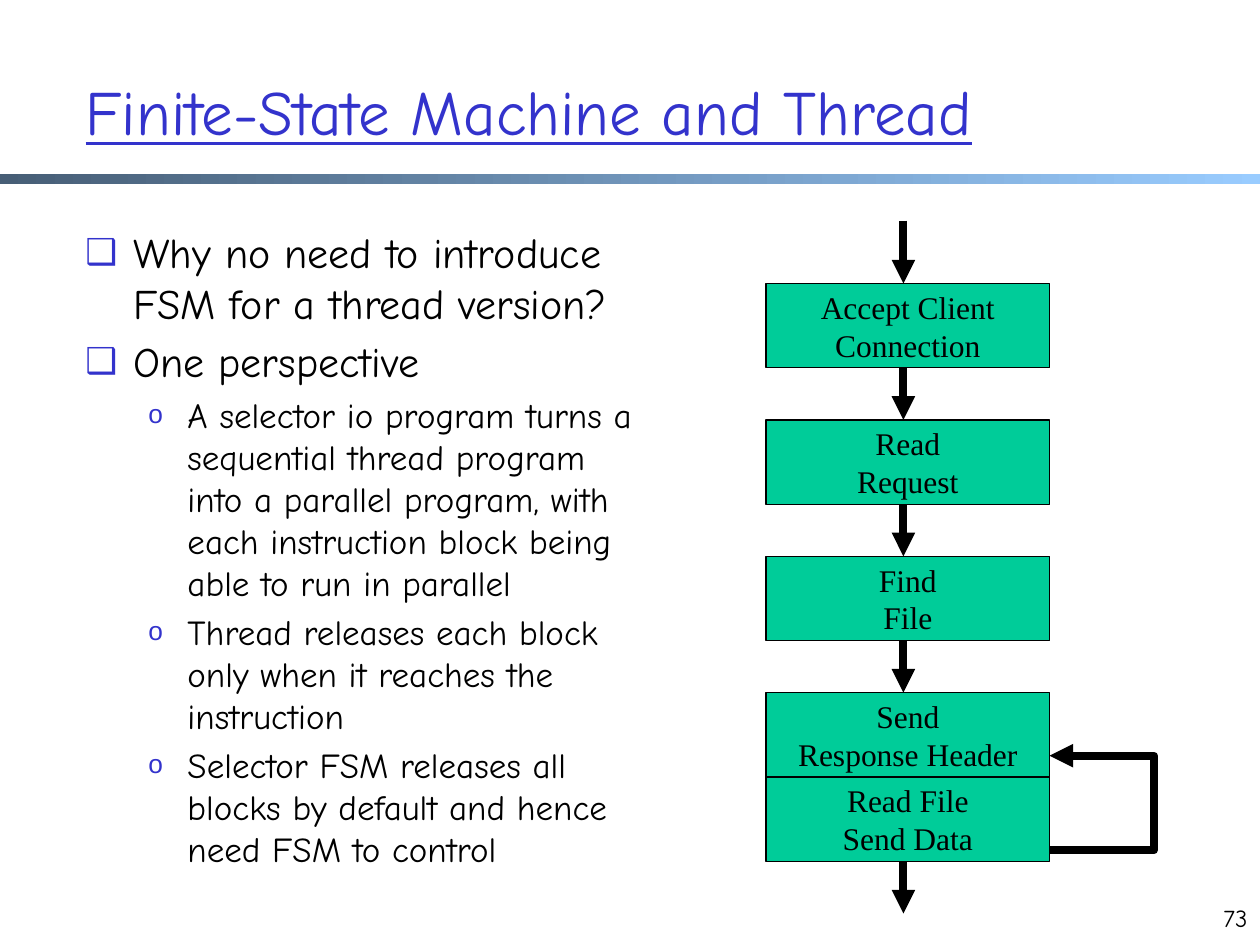
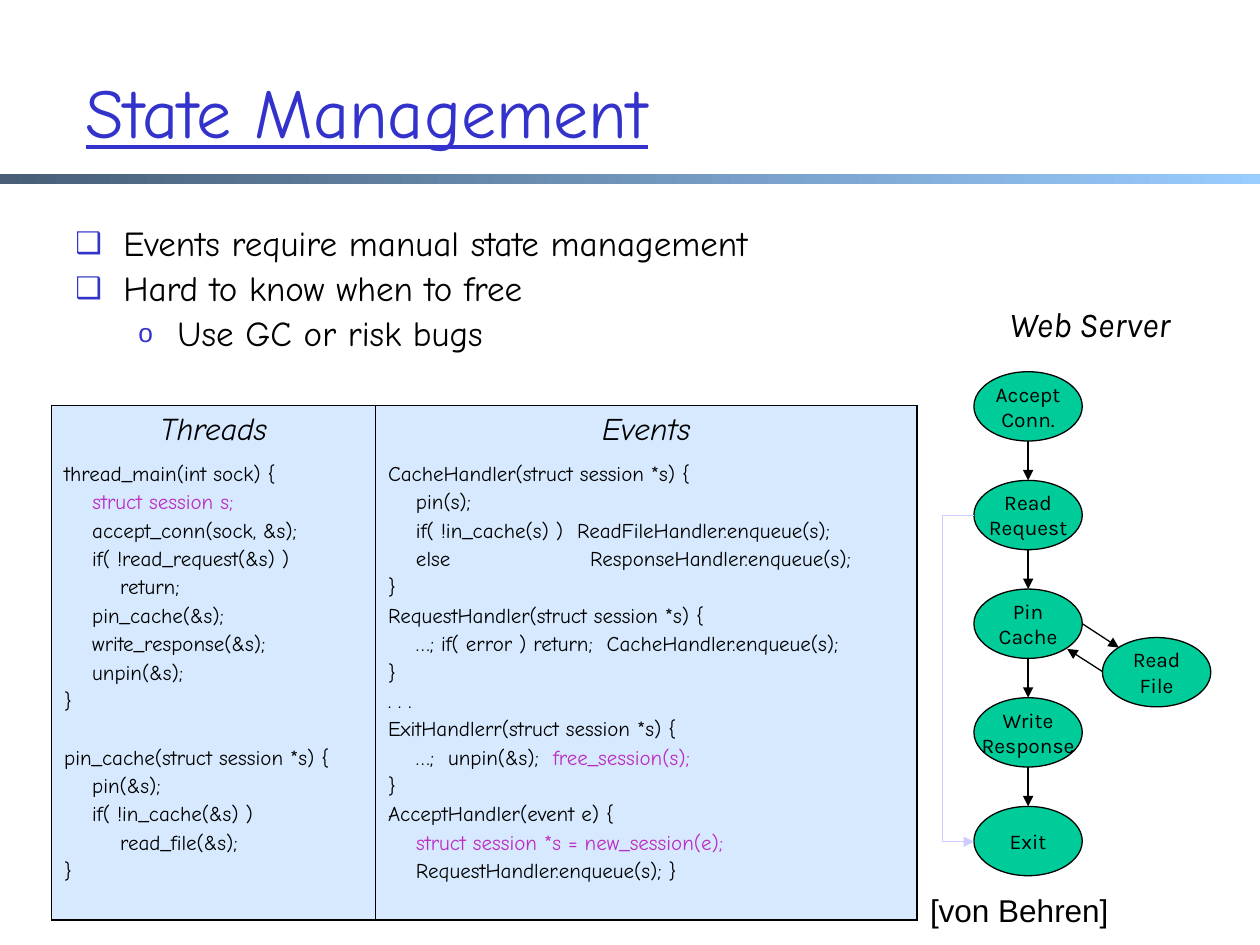
import pptx
import pptx.dml.color
import pptx.enum.shapes
import pptx.enum.text
import pptx.oxml
import pptx.oxml.ns
import pptx.util
from lxml import etree

Inches = pptx.util.Inches
Pt = pptx.util.Pt
RGBColor = pptx.dml.color.RGBColor
SHAPE = pptx.enum.shapes.MSO_SHAPE
ALIGN = pptx.enum.text.PP_ALIGN
MIDDLE = pptx.enum.text.MSO_ANCHOR.MIDDLE
qn = pptx.oxml.ns.qn

BLUE = RGBColor(0x33, 0x33, 0xCC)
BLACK = RGBColor(0, 0, 0)
GREEN = RGBColor(0x00, 0xCC, 0x99)
PINK = RGBColor(0xBC, 0x2D, 0xC3)
PALE = RGBColor(0xD6, 0xE9, 0xFE)
LILAC = RGBColor(0xCC, 0xCC, 0xFF)
SLATE = RGBColor(0x47, 0x5E, 0x76)
SKY = RGBColor(0x99, 0xCC, 0xFF)
COMIC = "Comic Neue"
SERIF = "Times New Roman"
SANS = "Karla"

MARKS = (("❑", 85, 0.38, 0.38), ("o", 75, 0.81, 0.31))

THREADS = """thread_main(int sock) {
    |struct session s;
    accept_conn(sock, &s);
    if( !read_request(&s) )
        return;
    pin_cache(&s);
    write_response(&s);
    unpin(&s);
}

pin_cache(struct session *s) {
    pin(&s);
    if( !in_cache(&s) )
        read_file(&s);
}"""

EVENTS = """CacheHandler(struct session *s) {
    pin(s);
    if( !in_cache(s) )  ReadFileHandler.enqueue(s);
    else                    ResponseHandler.enqueue(s);
}
RequestHandler(struct session *s) {
    …; if( error ) return;  CacheHandler.enqueue(s);
}
. . .
ExitHandlerr(struct session *s) {
    …;  unpin(&s);|  free_session(s);
}
AcceptHandler(event e) {
    |struct session *s = new_session(e);
    RequestHandler.enqueue(s); }"""


def style(font, color=BLACK, **form):
    """Apply format values to a font."""
    font.color.rgb = color
    for key, value in form.items():
        setattr(font, key, value)


def fill_text(frame, text, align=ALIGN.CENTER, **form):
    """Write text in a frame with one format."""
    frame.text = text
    for para in frame.paragraphs:
        para.alignment = align
        for run in para.runs:
            style(run.font, **form)


def add_label(slide, box, text, align=ALIGN.CENTER, **form):
    """Add a line of free text."""
    frame = slide.shapes.add_textbox(*map(Inches, box)).text_frame
    frame.word_wrap = False
    fill_text(frame, text, align, **form)


def add_node(slide, kind, box, text, **form):
    """Add a green node with centred text."""
    node = slide.shapes.add_shape(kind, *map(Inches, box))
    node.shadow.inherit = False
    node.fill.solid()
    node.fill.fore_color.rgb = GREEN
    node.line.color.rgb = BLACK
    node.line.width = Pt(0.75)
    node.text_frame.word_wrap = False
    node.text_frame.vertical_anchor = MIDDLE
    fill_text(node.text_frame, text, **form)


def point_line(shape, width, color):
    """Format a line and give its end an arrowhead."""
    shape.line.color.rgb = color
    shape.line.width = Pt(width)
    line = shape.element.spPr.find(qn("a:ln"))
    etree.SubElement(line, qn("a:tailEnd"), type="triangle")


def add_arrow(slide, start, end, width):
    """Add a straight black arrow."""
    arrow = slide.shapes.add_connector(
        pptx.enum.shapes.MSO_CONNECTOR.STRAIGHT, *map(Inches, start + end))
    point_line(arrow, width, BLACK)
    etree.SubElement(arrow.element.spPr, qn("a:effectLst"))


def add_loop(slide, points, width, color):
    """Add a bent arrow through the points."""
    spots = [tuple(map(Inches, point)) for point in points]
    build = slide.shapes.build_freeform(*spots[0])
    build.add_line_segments(spots[1:], close=False)
    loop = build.convert_to_shape()
    loop.shadow.inherit = False
    loop.fill.background()
    point_line(loop, width, color)


def add_slide(deck, title, size, width):
    """Add a slide with its title and the shaded band."""
    slide = deck.slides.add_slide(deck.slide_layouts.get_by_name("Title Only"))
    band = slide.shapes.add_shape(
        SHAPE.RECTANGLE, *map(Inches, (0, 1.38, 10, 0.08)))
    band.shadow.inherit = False
    band.line.fill.background()
    band.fill.gradient()
    band.fill.gradient_angle = 0
    for stop, color, place in zip(band.fill.gradient_stops, (SLATE, SKY), (0, 1)):
        stop.color.rgb = color
        stop.position = place
    head = slide.shapes.title
    head.left, head.top, head.width, head.height = map(
        Inches, (0.58, 0.25, width, 1.25))
    head.text_frame.vertical_anchor = MIDDLE
    fill_text(head.text_frame, title, ALIGN.LEFT, color=BLUE, name=COMIC,
              size=Pt(size), underline=True)
    return slide


def add_list(slide, box, items, sizes, pitch=1.0):
    """Add a bulleted list of (level, text) items."""
    frame = slide.shapes.add_textbox(*map(Inches, box)).text_frame
    frame.word_wrap = True
    for spot, (level, text) in enumerate(items):
        para = frame.add_paragraph() if spot else frame.paragraphs[0]
        mark, scale, left, hang = MARKS[level]
        props = para._p.get_or_add_pPr()
        props.set("marL", str(Inches(left)))
        props.set("indent", str(-Inches(hang)))
        tint = etree.SubElement(props, qn("a:buClr"))
        etree.SubElement(tint, qn("a:srgbClr"), val=str(BLUE))
        etree.SubElement(props, qn("a:buSzPct"), val=str(scale * 1000))
        etree.SubElement(props, qn("a:buFont"), typeface="Arial")
        etree.SubElement(props, qn("a:buChar"), char=mark)
        para.level = level
        para.line_spacing = pitch
        if spot:
            para.space_before = Pt(sizes[level] * 0.2)
        run = para.add_run()
        run.text = text
        style(run.font, name=COMIC, size=Pt(sizes[level]))


def add_flow(slide, box):
    """Draw the thread's steps from top to bottom with the send loop."""
    left, top, width, height = box
    steps = ("Accept Client\nConnection", "Read\nRequest", "Find\nFile",
             "Send\nResponse Header", "Read File\nSend Data")
    tall, lead = 0.67, 0.5
    gap = (height - lead - len(steps) * tall) / 4
    mid, right = left + 1.09, left + width
    first = top + lead
    tops = [first + i * (tall + gap) for i in range(4)]
    tops.append(tops[-1] + tall)
    for step, y in zip(steps, tops):
        add_node(slide, SHAPE.RECTANGLE, (left, y, width, tall), step,
                 name=SERIF, size=Pt(18))
    add_arrow(slide, (mid, top), (mid, first), 4.5)
    for y in tops[:3] + tops[4:]:
        add_arrow(slide, (mid, y + tall), (mid, y + tall + gap), 4.5)
    low, high = tops[4] + 0.58, tops[3] + 0.5
    add_loop(slide, [(right, low), (right + 0.83, low),
                     (right + 0.83, high), (right, high)], 4.5, BLACK)


def add_states(slide, box):
    """Draw the web server's states and moves."""
    left, top, width, height = box
    wide, tall = 0.86, 0.55
    names = ("Accept\vConn.", "Read\vRequest", "Pin\vCache",
             "Write\vResponse", "Exit")
    step = (height - tall) / (len(names) - 1)
    mid = left + wide / 2
    spots = [(left, top + i * step, name) for i, name in enumerate(names)]
    spots.append((left + width - wide, top + 2.11, "Read\vFile"))
    for x, y, name in spots:
        add_node(slide, SHAPE.OVAL, (x, y, wide, tall), name,
                 name=SANS, size=Pt(12))
    for i in range(len(names) - 1):
        y = top + i * step
        add_arrow(slide, (mid, y + tall), (mid, y + step), 0.75)
    add_arrow(slide, (left + wide, top + 2), (left + 1.15, top + 2.19), 0.75)
    add_arrow(slide, (left + 1.02, top + 2.38), (left + 0.74, top + 2.2), 0.75)
    start, end = top + 1.14, top + 3.73
    add_loop(slide, [(left, start), (left - 0.25, start),
                     (left - 0.25, end), (left, end)], 0.75, LILAC)


def add_code(frame, code):
    """Write code lines, with parts after a bar in pink."""
    frame.word_wrap = True
    gap = 0
    for spot, line in enumerate(code.split("\n")):
        if not line:
            gap = 16.2
            continue
        para = frame.add_paragraph() if spot else frame.paragraphs[0]
        if spot:
            para.space_before = Pt(2.4 + gap)
        gap = 0
        for part, color in zip(line.split("|"), (BLACK, PINK)):
            run = para.add_run()
            run.text = part
            style(run.font, color, name=COMIC, size=Pt(12), italic=False)


def paint_cell(cell, sides):
    """Fill a cell and rule the given sides."""
    props = cell._tc.get_or_add_tcPr()
    for side in "LRTB":
        line = etree.SubElement(props, qn("a:ln" + side), w=str(Pt(1)))
        if side in sides:
            ink = etree.SubElement(line, qn("a:solidFill"))
            etree.SubElement(ink, qn("a:srgbClr"), val=str(BLACK))
        else:
            etree.SubElement(line, qn("a:noFill"))
    cell.fill.solid()
    cell.fill.fore_color.rgb = PALE


def add_grid(slide, box):
    """Set thread code beside event code in a table."""
    table = slide.shapes.add_table(2, 2, *map(Inches, box)).table
    table.first_row = table.horz_banding = False
    for col, size in zip(table.columns, (2.57, box[2] - 2.57)):
        col.width = Inches(size)
    for row, size in zip(table.rows, (0.4, box[3] - 0.4)):
        row.height = Inches(size)
    for i, (head, code) in enumerate((("Threads", THREADS), ("Events", EVENTS))):
        top, base = table.cell(0, i), table.cell(1, i)
        paint_cell(top, "LRT")
        paint_cell(base, "LRB")
        fill_text(top.text_frame, head, name=COMIC, size=Pt(18), italic=True)
        add_code(base.text_frame, code)


def main():
    """Build both slides and save the deck."""
    deck = pptx.Presentation()
    deck.slide_width, deck.slide_height = Inches(10), Inches(7.5)

    slide = add_slide(deck, "Finite-State Machine and Thread", 36, 8.75)
    add_list(slide, (0.58, 1.75, 4.67, 5.08), (
        (0, "Why no need to introduce FSM for a thread version?"),
        (0, "One perspective"),
        (1, "A selector io program turns a sequential thread program into a "
            "parallel program, with each instruction block being able to run "
            "in parallel"),
        (1, "Thread releases each block only when it reaches the instruction"),
        (1, "Selector FSM releases all blocks by default and hence need FSM "
            "to control")), (24, 20))
    add_flow(slide, (6.08, 1.75, 2.25, 5.5))
    add_label(slide, (9.5, 7.12, 0.5, 0.5), "73", ALIGN.RIGHT,
              name=COMIC, size=Pt(14))

    slide = add_slide(deck, "State Management", 40, 8.5)
    add_list(slide, (0.5, 1.75, 7.32, 1.18), (
        (0, "Events require manual state management"),
        (0, "Hard to know when to free"),
        (1, "Use GC or risk bugs")), (20, 20), 0.9)
    add_grid(slide, (0.41, 3.22, 6.87, 4.08))
    add_states(slide, (7.73, 2.95, 1.88, 4))
    add_label(slide, (7.84, 2.35, 1.62, 0.43), "Web Server",
              name=SANS, size=Pt(20), italic=True)
    add_label(slide, (7.28, 7.02, 1.62, 0.4), "[von Behren]",
              name="Arial", size=Pt(18))
    deck.save("out.pptx")


if __name__ == "__main__":
    main()
